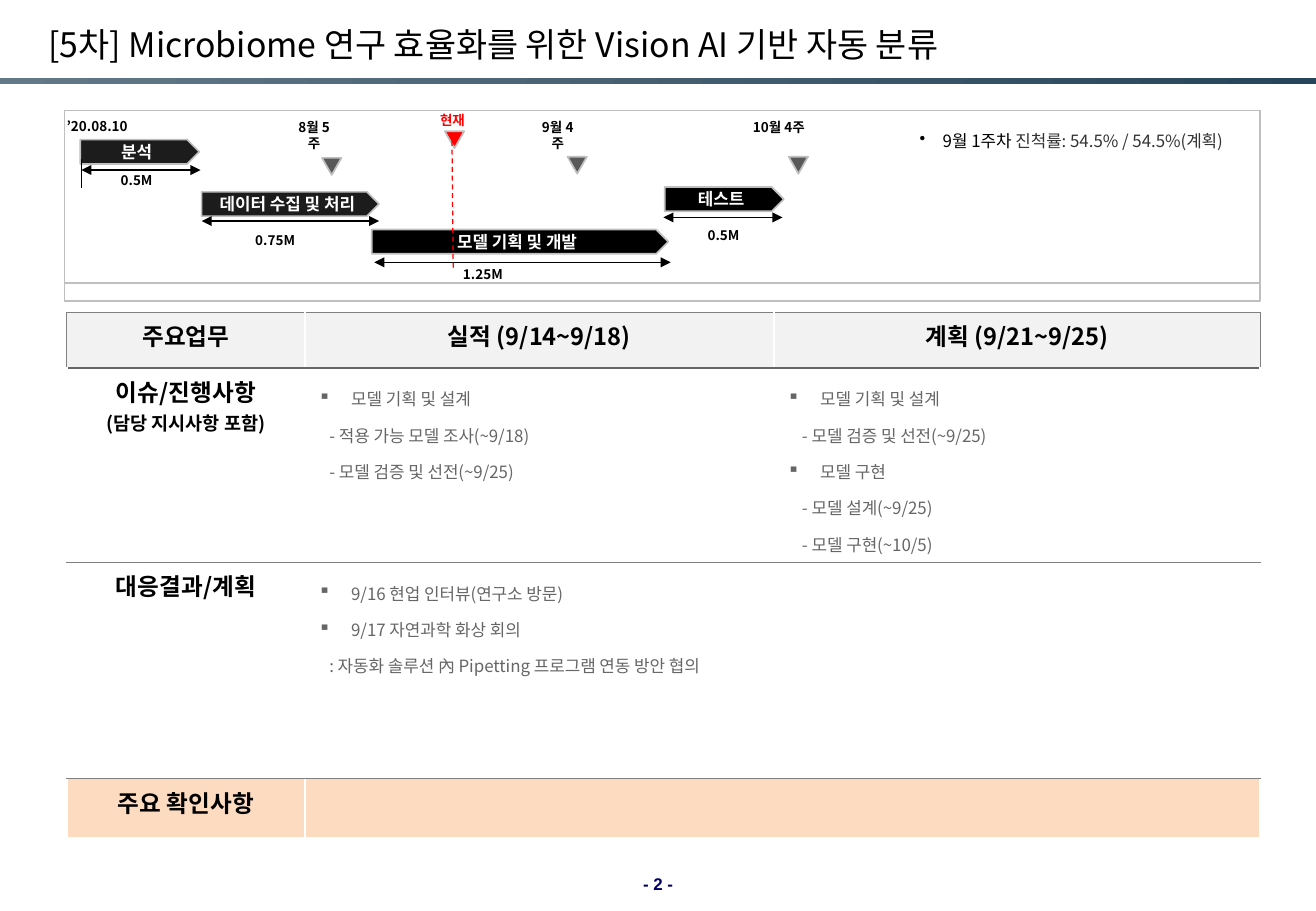
from lxml.etree import SubElement
from pptx import Presentation
from pptx.dml.color import RGBColor
from pptx.enum.dml import MSO_LINE
from pptx.enum.shapes import MSO_CONNECTOR, MSO_SHAPE
from pptx.enum.text import MSO_ANCHOR, PP_ALIGN
from pptx.oxml.ns import qn
from pptx.util import Pt

PX = 9144
FONT = "Noto Sans CJK KR"
BLACK, WHITE, RED = "000000", "FFFFFF", "FF0000"
SILVER, GRAY, DARK = "BFBFBF", "808080", "666666"

TITLE = "[5차] Microbiome 연구 효율화를 위한 Vision AI 기반 자동 분류"
PROGRESS = [("9월 1주차 ", BLACK), ("진척률: 54.5% / 54.5%(계획)", "333333")]
FRAMES = [(53, 91, 984, 157), (53, 91, 984, 142)]
PHASES = [
    ("분석", 66, 115, 98, "1C1C1C"),
    ("데이터 수집 및 처리", 166, 158, 146, "1C1C1C"),
    ("모델 기획 및 개발", 306, 189, 244, BLACK),
    ("테스트", 547, 154, 98, BLACK),
]
DURATIONS = [
    ("0.5M", 81, 137, (67, 165, 140)),
    ("0.75M", 195, 186, (166, 312, 182)),
    ("1.25M", 366, 214, (308, 552, 216)),
    ("0.5M", 564, 182, (546, 644, 179)),
]
DATES = [
    ("’20.08.10", 40, 92, 80, BLACK),
    ("8월 5주", 231, 93, 55, BLACK),
    ("9월 4주", 432, 93, 54, BLACK),
    ("10월 4주", 609, 93, 64, BLACK),
    ("현재", 341, 87, 63, RED),
]
MARKERS = [(265, 130, "595959"), (467, 129, "595959"), (649, 129, "595959"), (366, 108, RED)]

COLUMNS = [196, 386, 400]
ROWS = [46, 160, 178, 49]
ROW_FILLS = ["F2F2F2", None, None, "FDDBC1"]
HEADERS = ["주요업무", "실적 (9/14~9/18)", "계획 (9/21~9/25)"]
ROW_LABELS = {
    1: [("이슈/진행사항", 14), ("(담당 지시사항 포함)", 11)],
    2: [("대응결과/계획", 14)],
    3: [("주요 확인사항", 14)],
}
TASKS = {
    (1, 1): [
        ("▪", "모델 기획 및 설계"),
        ("", "- 적용 가능 모델 조사(~9/18)"),
        ("", "- 모델 검증 및 선전(~9/25)"),
    ],
    (1, 2): [
        ("▪", "모델 기획 및 설계"),
        ("", "- 모델 검증 및 선전(~9/25)"),
        ("▪", "모델 구현"),
        ("", "- 모델 설계(~9/25)"),
        ("", "- 모델 구현(~10/5)"),
    ],
    (2, 1): [
        ("▪", "9/16 현업 인터뷰(연구소 방문)"),
        ("▪", "9/17 자연과학 화상 회의"),
        ("", ": 자동화 솔루션 內 Pipetting 프로그램 연동 방안 협의"),
    ],
}
SUBITEM_INDENTS = {1: 9, 2: 12}

presentation = Presentation()
presentation.slide_width = 1083 * PX
presentation.slide_height = 750 * PX
slide = presentation.slides.add_slide(presentation.slide_layouts[6])


def rgb(value):
    return RGBColor.from_string(value)


def write(paragraph, text, size, color, bold=False, align=PP_ALIGN.LEFT, left=0,
          first=0, bullet="", spacing=None, before=None, font=FONT):
    runs = [(text, None)] if isinstance(text, str) else text
    for content, run_color in runs:
        run = paragraph.add_run()
        run.text = content
        if run_color:
            run.font.color.rgb = rgb(run_color)
    paragraph.alignment = align
    if spacing:
        paragraph.line_spacing = spacing
    if before:
        paragraph.space_before = Pt(before)
    properties = paragraph._p.get_or_add_pPr()
    properties.set("marL", str(left * PX))
    properties.set("indent", str(first * PX))
    if bullet:
        SubElement(SubElement(properties, qn("a:buClr")), qn("a:srgbClr"), val=color)
        SubElement(properties, qn("a:buChar"), char=bullet)
    paragraph.font.size = Pt(size)
    paragraph.font.bold = bold
    paragraph.font.name = font
    paragraph.font.color.rgb = rgb(color)
    SubElement(properties.find(qn("a:defRPr")), qn("a:ea"), typeface=font)


def add_text(box, text, size, color, anchor=MSO_ANCHOR.TOP, **style):
    frame = slide.shapes.add_textbox(*(value * PX for value in box)).text_frame
    frame.word_wrap = True
    frame.vertical_anchor = anchor
    write(frame.paragraphs[0], text, size, color, **style)


def add_box(kind, box, fill=None, line=None):
    shape = slide.shapes.add_shape(kind, *(value * PX for value in box))
    shape.shadow.inherit = False
    if fill:
        shape.fill.solid()
        shape.fill.fore_color.rgb = rgb(fill)
    else:
        shape.fill.background()
    if line:
        shape.line.color.rgb = rgb(line)
        shape.line.width = Pt(1)
    else:
        shape.line.fill.background()
    return shape


def add_line(x1, y1, x2, y2, color=BLACK, dashed=False, arrows=False):
    line = slide.shapes.add_connector(MSO_CONNECTOR.STRAIGHT, x1 * PX, y1 * PX, x2 * PX, y2 * PX)
    line.line.color.rgb = rgb(color)
    line.line.width = Pt(0.75)
    if dashed:
        line.line.dash_style = MSO_LINE.DASH
    if arrows:
        for end in ("a:headEnd", "a:tailEnd"):
            SubElement(line.line._get_or_add_ln(), qn(end), type="triangle")
    SubElement(line._element.spPr, qn("a:effectLst"))


def set_borders(cell, sides):
    properties = cell._tc.get_or_add_tcPr()
    for side, color in zip("LRTB", sides):
        width = Pt(0.5) if color == GRAY else Pt(0.96)
        border = SubElement(properties, qn(f"a:ln{side}"), w=str(width))
        SubElement(SubElement(border, qn("a:solidFill")), qn("a:srgbClr"), val=color)


def add_report_table():
    table = slide.shapes.add_table(len(ROWS), len(COLUMNS), 55 * PX, 257 * PX,
                                   sum(COLUMNS) * PX, sum(ROWS) * PX).table
    table.first_row = table.horz_banding = False
    for column, width in zip(table.columns, COLUMNS):
        column.width = width * PX
    for row, height in zip(table.rows, ROWS):
        row.height = height * PX
    last_row, last_column = len(ROWS) - 1, len(COLUMNS) - 1
    for r, fill in enumerate(ROW_FILLS):
        for c, header in enumerate(HEADERS):
            cell = table.cell(r, c)
            cell.margin_left = cell.margin_right = 11 * PX
            cell.margin_top = cell.margin_bottom = 5 * PX
            set_borders(cell, (
                GRAY if (r, c) == (0, 0) else WHITE,
                GRAY if (r, c) == (0, last_column) else WHITE,
                DARK if r == 1 else GRAY,
                DARK if r == 0 else WHITE if r == last_row else GRAY,
            ))
            if fill:
                cell.fill.solid()
                cell.fill.fore_color.rgb = rgb(fill)
            else:
                cell.fill.background()
            labels = [(header, 14)] if r == 0 else ROW_LABELS[r] if c == 0 else []
            frame = cell.text_frame
            for i, (text, size) in enumerate(labels):
                paragraph = frame.add_paragraph() if i else frame.paragraphs[0]
                write(paragraph, text, size, BLACK, bold=True, align=PP_ALIGN.CENTER)
            for i, (bullet, text) in enumerate(TASKS.get((r, c), [])):
                paragraph = frame.add_paragraph() if i else frame.paragraphs[0]
                left, first = (27, -27) if bullet else (SUBITEM_INDENTS[c], 0)
                write(paragraph, text, 10, DARK, left=left, first=first, bullet=bullet, spacing=1.5)
    table.cell(last_row, 1).merge(table.cell(last_row, last_column))


add_text((0, 714, 1083, 27), "- 2 -", 10, "000066", bold=True, align=PP_ALIGN.CENTER, font="Arial")
title_bar = add_box(MSO_SHAPE.RECTANGLE, (0, 64, 1083, 5))
title_bar.fill.gradient()
title_bar.fill.gradient_angle = 0
for stop, color in zip(title_bar.fill.gradient_stops, ("637988", "27455A")):
    stop.color.rgb = rgb(color)
add_text((30, 15, 1017, 42), TITLE, 20, BLACK, anchor=MSO_ANCHOR.MIDDLE, left=42, first=-42)
add_report_table()

for frame_box in FRAMES:
    add_box(MSO_SHAPE.RECTANGLE, frame_box, line=SILVER)
for name, x, y, width, fill in PHASES:
    phase = add_box(MSO_SHAPE.PENTAGON, (x, y, width, 20), fill, SILVER)
    text_frame = phase.text_frame
    text_frame.word_wrap = True
    text_frame.vertical_anchor = MSO_ANCHOR.MIDDLE
    text_frame.margin_left = text_frame.margin_right = 4 * PX
    text_frame.margin_top = text_frame.margin_bottom = 4 * PX
    write(text_frame.paragraphs[0], name, 10, WHITE, bold=True, align=PP_ALIGN.CENTER,
          left=10, first=-10, before=2)
add_line(67, 131, 67, 155)
for label, x, y, (start, end, arrow_y) in DURATIONS:
    add_line(start, arrow_y, end, arrow_y, arrows=True)
    add_text((x, y, 63, 23), label, 8, BLACK, bold=True, align=PP_ALIGN.CENTER)
for x, y, color in MARKERS:
    add_box(MSO_SHAPE.ISOSCELES_TRIANGLE, (x, y, 16, 14), color, SILVER).rotation = 180
for label, x, y, width, color in DATES:
    add_text((x, y, width, 23), label, 8, color, bold=True, align=PP_ALIGN.CENTER)
add_line(372, 116, 373, 223, RED, dashed=True)
add_text((747, 94, 293, 60), PROGRESS, 10, BLACK, left=19, first=-19, bullet="•", spacing=1.5)

presentation.save("out.pptx")
